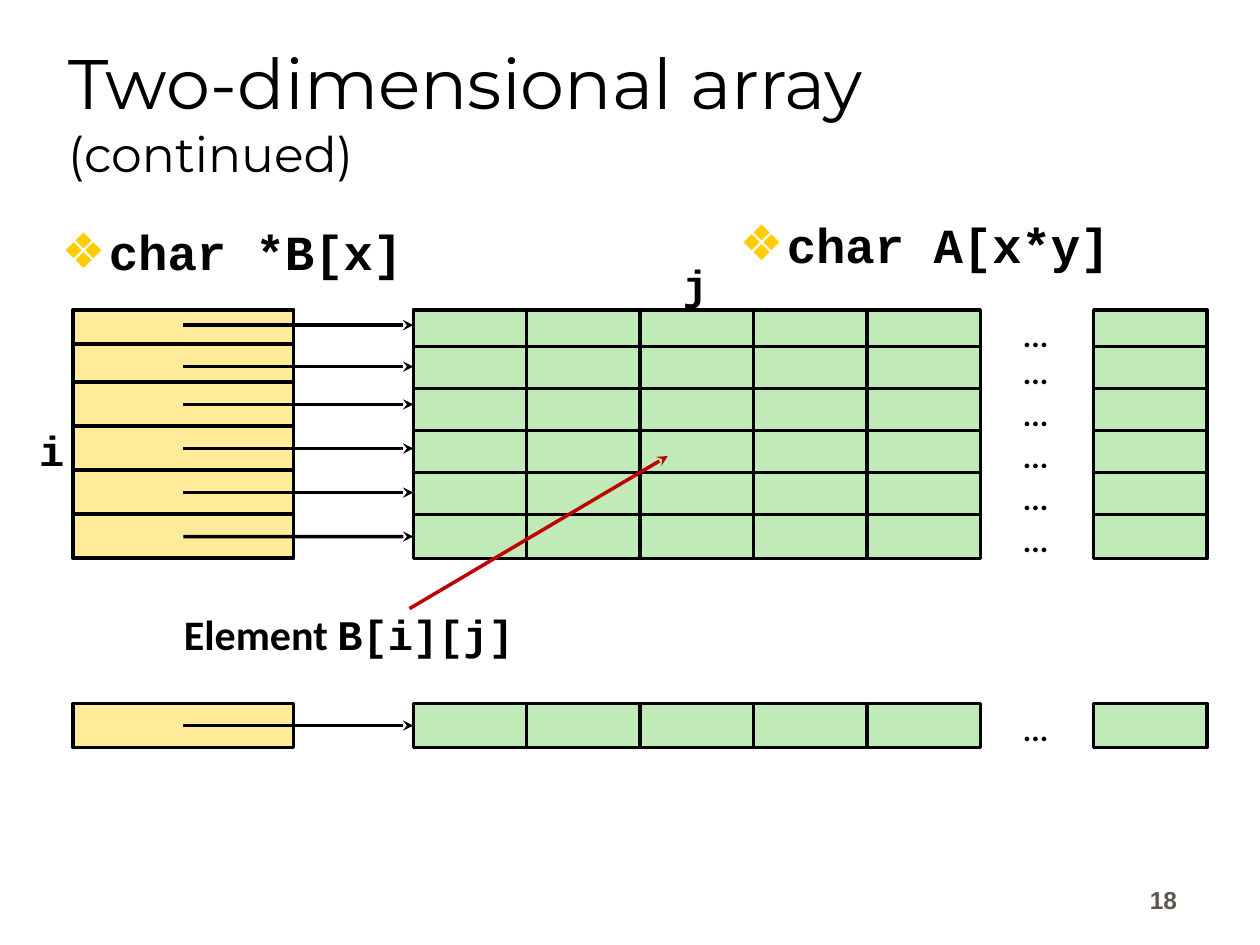
from lxml.etree import SubElement
from pptx import Presentation
from pptx.dml.color import RGBColor
from pptx.enum.shapes import MSO_CONNECTOR, MSO_SHAPE
from pptx.enum.text import MSO_ANCHOR, MSO_AUTO_SIZE, PP_ALIGN
from pptx.oxml.ns import qn
from pptx.util import Pt

TITLE = [("Two-dimensional array", 40), ("(continued)", 28)]
DECLARATIONS = [
    ("char *B[x]", 28, 126.7, 42.5, 0.9),
    ("char A[x*y]", 415.4, 118.8, 46, 1.0),
]
ROWS = [
    # pointer top, cell top, arrow height
    (177, 177, 185.8),
    (196.6, 198, 209.5),
    (218.2, 222, 231.1),
    (243.4, 246, 256.3),
    (268.6, 270, 281.5),
    (293.8, 294, 306.7),
    (402, 402, 414.6),
]
LABELS = [
    ([("Element ", "Calibri"), ("B[i][j]", "Courier New")], 105.1, 347.8, 190),
    ([("i", "Courier New")], 22.3, 242.6, 14.4),
    ([("j", "Courier New")], 390.2, 147.6, 14.4),
]
CELL_COLUMNS = [0, 1, 2, 3, 4, 6]
CELL_LEFT, CELL_WIDTH, ROW_HEIGHT = 236.2, 64.8, 25.2
POINTER_LEFT, POINTER_WIDTH = 41.8, 126
BLACK, GREEN, YELLOW, RED = "000000", "C0EAB8", "FFEB99", "C00000"


def color(hex_code):
    """Turn a hex string into a colour."""
    return RGBColor.from_string(hex_code)


def place(shape, left, top, width, height):
    """Move and size a shape, in points."""
    shape.left, shape.top = Pt(left), Pt(top)
    shape.width, shape.height = Pt(width), Pt(height)


def style(run, name, size, hex_code=BLACK, bold=True):
    """Format a run."""
    run.font.name, run.font.size, run.font.bold = name, Pt(size), bold
    run.font.color.rgb = color(hex_code)


def add_box(shapes, left, top, width, fill):
    """Add one outlined memory cell."""
    box = shapes.add_shape(MSO_SHAPE.RECTANGLE, Pt(left), Pt(top), Pt(width), Pt(ROW_HEIGHT))
    box.shadow.inherit = False
    box.fill.solid()
    box.fill.fore_color.rgb = color(fill)
    box.line.color.rgb = color(BLACK)
    box.line.width = Pt(2)
    return box


def add_arrow(shapes, start, end, hex_code):
    """Add a straight arrow with a stealth head."""
    arrow = shapes.add_connector(MSO_CONNECTOR.STRAIGHT, *map(Pt, start + end))
    arrow.line.color.rgb = color(hex_code)
    arrow.line.width = Pt(2)
    SubElement(arrow.line._get_or_add_ln(), qn("a:tailEnd"), type="stealth")
    SubElement(arrow._element.spPr, qn("a:effectLst"))
    return arrow


def add_text(shapes, parts, left, top, width, size, inset=True, height=28.8):
    """Add a one-line text box made of (text, font) parts."""
    box = shapes.add_textbox(Pt(left), Pt(top), Pt(width), Pt(height))
    frame = box.text_frame
    frame.word_wrap = False
    if not inset:
        frame.margin_left = frame.margin_right = frame.margin_top = frame.margin_bottom = 0
    for text, name in parts:
        run = frame.paragraphs[0].add_run()
        run.text = text
        style(run, name, size)
    return box


def add_row(shapes, pointer_top, cell_top, arrow_y):
    """Add a pointer, its row of cells and the arrow between them."""
    row = shapes.add_group_shape().shapes
    cells = [add_box(row, CELL_LEFT + column * CELL_WIDTH, cell_top, CELL_WIDTH, GREEN)
             for column in CELL_COLUMNS]
    add_text(row, [("...", "Calibri")], 577.5, cell_top, 28.8, 18)
    add_box(shapes, POINTER_LEFT, pointer_top, POINTER_WIDTH, YELLOW)
    start_x = POINTER_LEFT + POINTER_WIDTH / 2
    arrow = add_arrow(shapes, (start_x, arrow_y), (CELL_LEFT, arrow_y), BLACK)
    if abs(cell_top + ROW_HEIGHT / 2 - arrow_y) < 0.5:
        arrow.end_connect(cells[0], 1)


def fill_title(title):
    """Write the two-size title."""
    place(title, 31.7, 18, 612, 90)
    frame = title.text_frame
    frame.auto_size, frame.vertical_anchor = MSO_AUTO_SIZE.NONE, MSO_ANCHOR.BOTTOM
    heading = frame.paragraphs[0]
    heading.text = "\v".join(text for text, _ in TITLE)
    heading.alignment = PP_ALIGN.LEFT
    for run, (_, size) in zip(heading.runs, TITLE):
        style(run, "Montserrat", size, bold=False)


def fill_declaration(body, text, left, top, height, spacing):
    """Write one bulleted declaration."""
    place(body, left, top, 304.6, height)
    body.text_frame.auto_size = MSO_AUTO_SIZE.NONE
    declaration = body.text_frame.paragraphs[0]
    declaration.text = text
    declaration.line_spacing = spacing
    properties = declaration._p.get_or_add_pPr()
    properties.set("marL", str(Pt(27)))
    properties.set("indent", str(Pt(-27)))
    SubElement(SubElement(properties, qn("a:buClr")), qn("a:srgbClr"), val="FFCC00")
    SubElement(properties, qn("a:buFont"), typeface="Arial")
    SubElement(properties, qn("a:buChar"), char="❖")
    style(declaration.runs[0], "Courier New", 28)


def main():
    """Build the slide."""
    deck = Presentation()
    deck.slide_width, deck.slide_height = Pt(720), Pt(540)
    slide = deck.slides.add_slide(deck.slide_layouts[3])
    shapes = slide.shapes
    fill_title(shapes.title)
    for index, declaration in enumerate(DECLARATIONS, 1):
        fill_declaration(slide.placeholders[index], *declaration)

    number = add_text(shapes, [("18", "Arial")], 529.9, 490.3, 149.8, 14, height=36)
    number.text_frame.word_wrap = True
    number.text_frame.vertical_anchor = MSO_ANCHOR.BOTTOM
    number.text_frame.paragraphs[0].alignment = PP_ALIGN.RIGHT
    style(number.text_frame.paragraphs[0].runs[0], "Arial", 14, "5E574E")

    for row in ROWS:
        add_row(shapes, *row)
    for parts, left, top, width in LABELS:
        add_text(shapes, parts, left, top, width, 24, inset=False)
    add_arrow(shapes, (234, 347.8), (381.6, 260.6), RED)
    deck.save("out.pptx")


if __name__ == "__main__":
    main()
